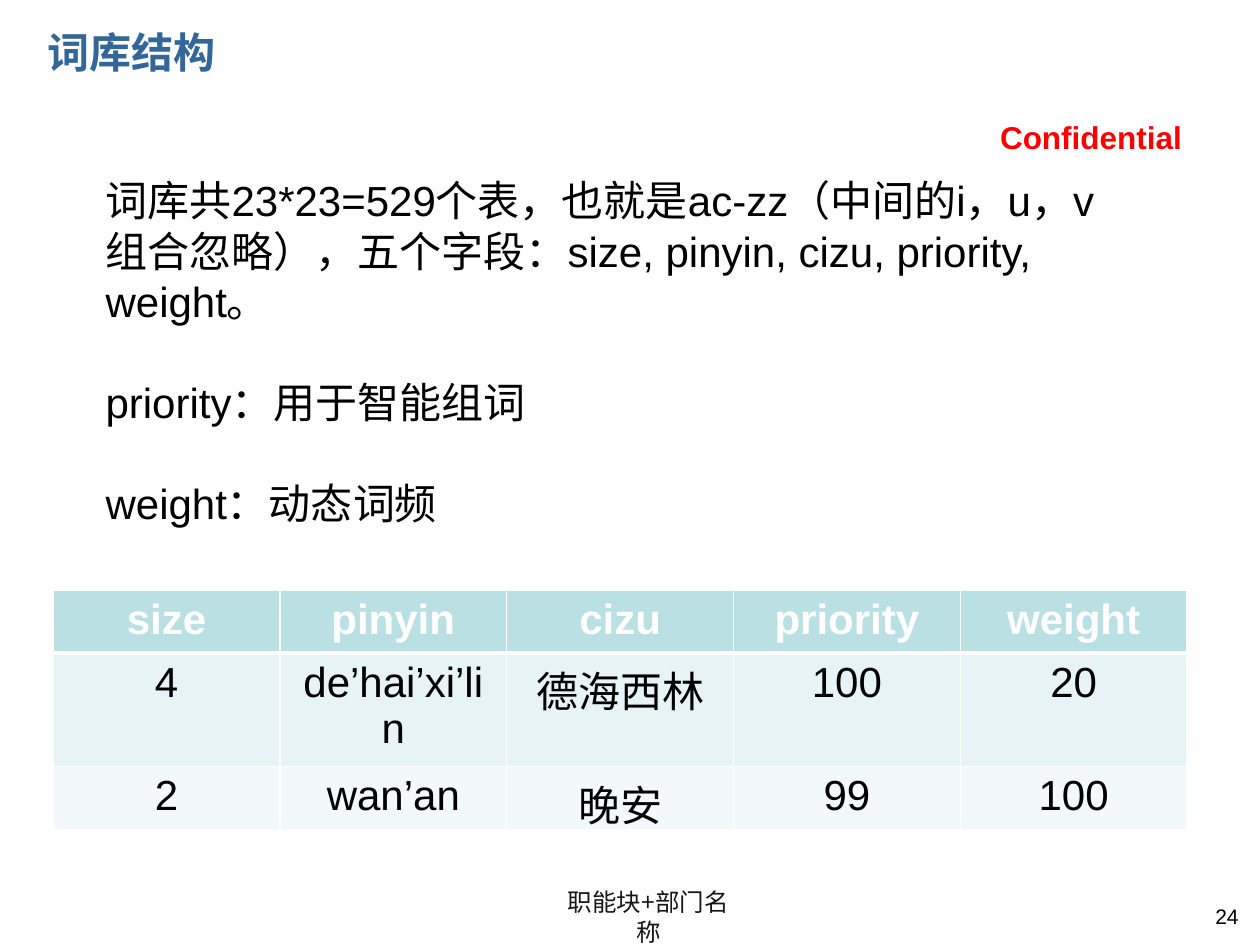
from lxml.etree import SubElement
from pptx import Presentation
from pptx.dml.color import RGBColor
from pptx.enum.text import PP_ALIGN
from pptx.oxml.ns import qn
from pptx.util import Cm, Pt

LATIN, CJK = "Arial", "Noto Sans CJK SC"
HEADER = ["size", "pinyin", "cizu", "priority", "weight"]
ENTRIES = [
    ["4", "de’hai’xi’lin", "德海西林", "100", "20"],
    ["2", "wan’an", "晚安", "99", "100"],
]
ROW_FILLS = ["BBE0E3", "E7F3F4", "F3F9FA"]
NOTES = [
    "词库共23*23=529个表，也就是ac-zz（中间的i，u，v组合忽略），"
    "五个字段：size, pinyin, cizu, priority, weight。",
    "priority：用于智能组词",
    "weight：动态词频",
]


def color(value):
    return RGBColor.from_string(value)


def add_run(paragraph, text, size, fill="000000", bold=False, font=LATIN):
    run = paragraph.add_run()
    run.text = text
    run.font.size = Pt(size)
    run.font.bold = bold
    run.font.name = font
    run.font.color.rgb = color(fill)
    SubElement(run._r.get_or_add_rPr(), qn("a:ea"), typeface=CJK)


def add_text_frame(slide, box, wrap=True):
    frame = slide.shapes.add_textbox(*map(Cm, box)).text_frame
    frame.word_wrap = wrap
    return frame


def add_title(slide, box):
    frame = add_text_frame(slide, box)
    add_run(frame.paragraphs[0], "词库结构", 24, "336699", True, CJK)


def add_confidential_mark(slide, box):
    paragraph = add_text_frame(slide, box, wrap=False).paragraphs[0]
    paragraph.alignment = PP_ALIGN.RIGHT
    add_run(paragraph, "Confidential", 18, "FF0000", True)


def add_notes(slide, box):
    frame = add_text_frame(slide, box)
    for index, text in enumerate(NOTES):
        paragraph = frame.add_paragraph() if index else frame.paragraphs[0]
        paragraph.line_spacing = Pt(28.8)
        paragraph.space_after = Pt(28.8)
        add_run(paragraph, text, 24)


def set_borders(cell, top, bottom):
    """Draw white cell borders; top and bottom are widths in points."""
    properties = cell._tc.get_or_add_tcPr()
    widths = {"a:lnL": 1, "a:lnR": 1, "a:lnT": top, "a:lnB": bottom}
    for index, (tag, width) in enumerate(widths.items()):
        line = SubElement(properties, qn(tag), w=str(Pt(width)))
        fill = SubElement(line, qn("a:solidFill"))
        SubElement(fill, qn("a:srgbClr"), val="FFFFFF")
        properties.insert(index, line)


def add_lexicon_table(slide, box):
    rows = [HEADER, *ENTRIES]
    table = slide.shapes.add_table(len(rows), len(HEADER), *map(Cm, box)).table
    for row_index, (row, row_fill) in enumerate(zip(rows, ROW_FILLS)):
        is_header = row_index == 0
        for column_index, text in enumerate(row):
            cell = table.cell(row_index, column_index)
            cell.fill.solid()
            cell.fill.fore_color.rgb = color(row_fill)
            set_borders(cell, 3 if row_index == 1 else 1, 3 if is_header else 1)
            paragraph = cell.text_frame.paragraphs[0]
            paragraph.alignment = PP_ALIGN.CENTER
            add_run(paragraph, text, 24, "FFFFFF" if is_header else "000000", is_header)


def add_department(slide, box):
    frame = add_text_frame(slide, box)
    frame.margin_top = frame.margin_bottom = 0
    paragraph = frame.paragraphs[0]
    paragraph.alignment = PP_ALIGN.CENTER
    paragraph.line_spacing = Pt(17)
    add_run(paragraph, "职能块+部门名称", 14, "161616", font=CJK)


def add_page_number(slide, box):
    paragraph = add_text_frame(slide, box).paragraphs[0]
    paragraph.alignment = PP_ALIGN.RIGHT
    add_run(paragraph, "24", 12)


def main():
    presentation = Presentation()
    presentation.slide_width, presentation.slide_height = Cm(25.4), Cm(19.05)
    slide = presentation.slides.add_slide(presentation.slide_layouts[6])
    add_department(slide, (10.95, 17.88, 4.24, 0.61))
    add_confidential_mark(slide, (19.86, 2.26, 4.22, 1.02))
    add_title(slide, (0.71, 0.41, 16.03, 1.57))
    add_lexicon_table(slide, (1.07, 11.89, 22.86, 3.1))
    add_page_number(slide, (18.03, 18.08, 7.19, 1.32))
    add_notes(slide, (1.88, 3.4, 20.6, 8.46))
    presentation.save("out.pptx")


if __name__ == "__main__":
    main()
